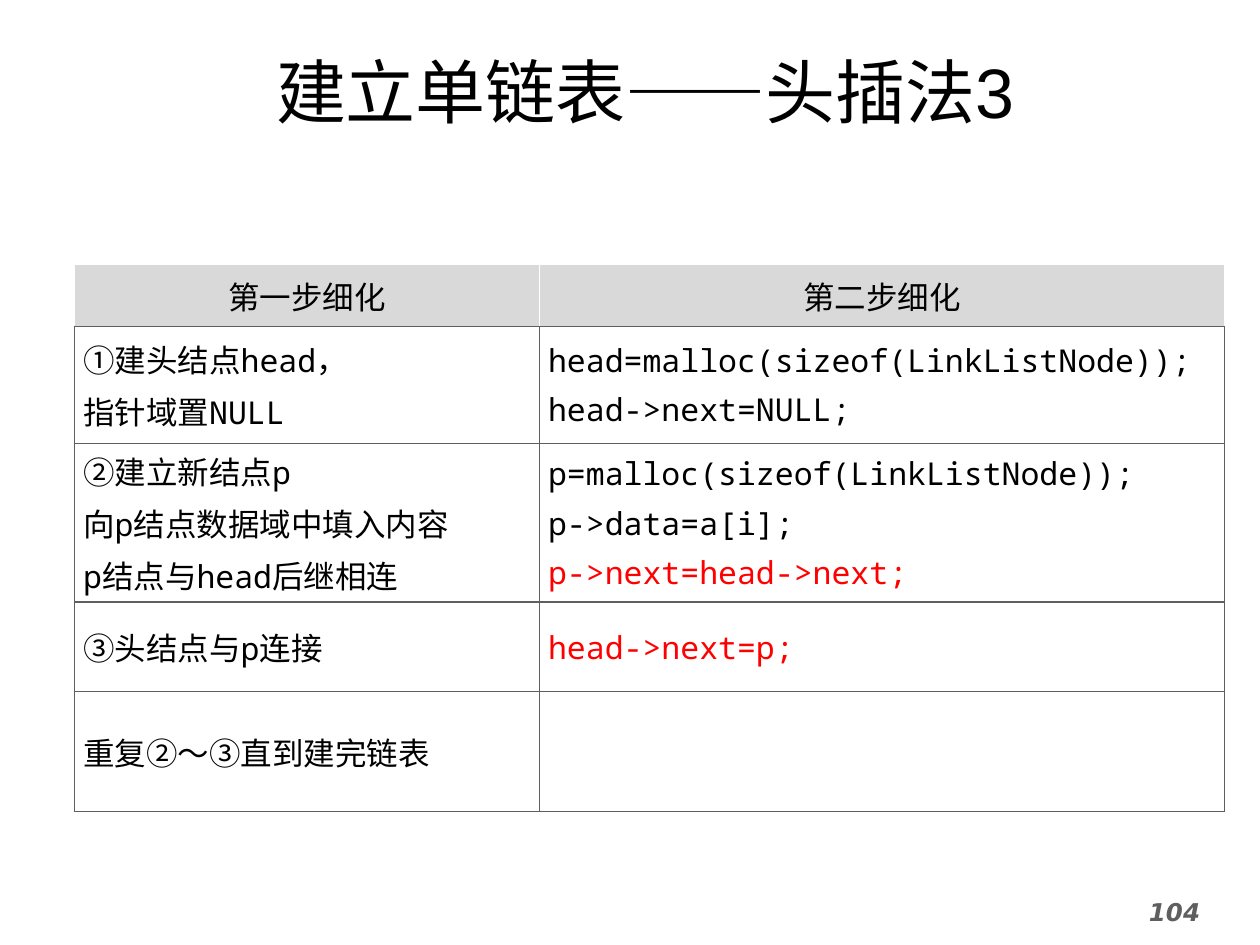
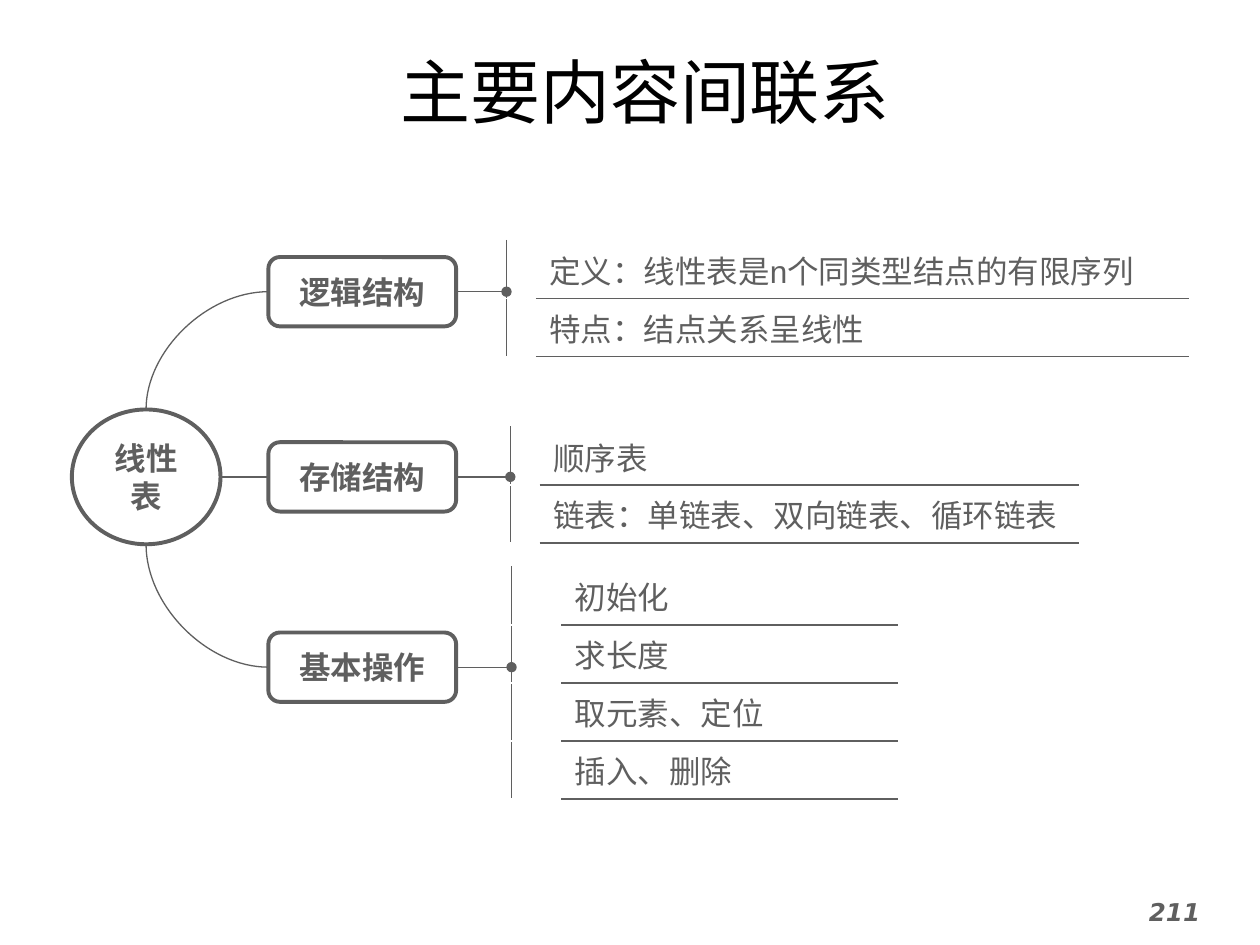
from lxml import etree
from pptx import Presentation
from pptx.dml.color import RGBColor
from pptx.enum.shapes import MSO_CONNECTOR, MSO_SHAPE
from pptx.enum.text import MSO_ANCHOR, PP_ALIGN
from pptx.oxml.ns import qn
from pptx.util import Inches, Pt

LEFT, MID = PP_ALIGN.LEFT, PP_ALIGN.CENTER
TOP, CENTER = MSO_ANCHOR.TOP, MSO_ANCHOR.MIDDLE
LINE, CURVE = MSO_CONNECTOR.STRAIGHT, MSO_CONNECTOR.CURVE
OVAL, ROUND = MSO_SHAPE.OVAL, MSO_SHAPE.ROUNDED_RECTANGLE


class Theme:
    black, gray, red = "000000", "5F5F5F", "FF0000"
    white, head = "FFFFFF", "D9D9D9"
    big, body, small = 40, 18, 14
    sans, code = "Arial", "Noto Sans Mono"
    page, cjk = "DejaVu Sans", "Noto Sans CJK SC"
    thin, edge, thick = 0.75, 1, 2.25


def write(frame, text, size=Theme.body, font=Theme.sans, color=Theme.gray,
          bold=False, slant=False, align=LEFT, gap=0, reds=()):
    """Fill a frame, one paragraph per line; gap goes before all but the first."""
    frame.word_wrap = True
    for i, line in enumerate(text.split("\n")):
        para = frame.paragraphs[0] if i == 0 else frame.add_paragraph()
        para.alignment = align
        if i:
            para.space_before = Pt(gap)
        run = para.add_run()
        run.text = line
        face = run.font
        face.size, face.name, face.bold, face.italic = Pt(size), font, bold, slant
        face.color.rgb = RGBColor.from_string(Theme.red if line in reds else color)
        east = etree.SubElement(run._r.get_or_add_rPr(), qn("a:ea"))
        east.set("typeface", Theme.cjk)


def rule(cell, **sides):
    """Set cell borders: L, R, T and B each take a colour."""
    props = cell._tc.get_or_add_tcPr()
    for side in "LRTB":
        if side in sides:
            line = etree.SubElement(props, qn("a:ln" + side), w=str(Pt(Theme.edge)))
            fill = etree.SubElement(line, qn("a:solidFill"))
            etree.SubElement(fill, qn("a:srgbClr"), val=sides[side])


deck = Presentation()
deck.slide_width, deck.slide_height = Inches(10), Inches(7.5)
pages = []
for title, number in (("建立单链表——头插法3", "104"), ("主要内容间联系", "211")):
    page = deck.slides.add_slide(deck.slide_layouts[6])
    box = page.shapes.add_textbox(Inches(0.35), Inches(0.33), Inches(9.54), Inches(0.77))
    box.text_frame.vertical_anchor = CENTER
    write(box.text_frame, title, size=Theme.big, color=Theme.black, align=MID)
    box = page.shapes.add_textbox(Inches(9.02), Inches(7.07), Inches(1.02), Inches(0.43))
    write(box.text_frame, number, size=Theme.small, font=Theme.page, bold=True, slant=True)
    pages.append(page)
steps, links = pages

# Table of steps
rows = [
    (0.49, "第一步细化", "第二步细化"),
    (0.93, "①建头结点head，\n指针域置NULL",
     "head=malloc(sizeof(LinkListNode));\nhead->next=NULL;"),
    (1.26, "②建立新结点p\n向p结点数据域中填入内容\np结点与head后继相连",
     "p=malloc(sizeof(LinkListNode));\np->data=a[i];\np->next=head->next;"),
    (0.71, "③头结点与p连接", "head->next=p;"),
    (0.95, "重复②～③直到建完链表", ""),
]
reds = ("p->next=head->next;", "head->next=p;")
grid = steps.shapes.add_table(len(rows), 2, Inches(0.59), Inches(2.1),
                              Inches(9.13), Inches(4.34)).table
grid.horz_banding = False
for col, wide in zip(grid.columns, (3.69, 5.44)):
    col.width = Inches(wide)
for r, (high, *texts) in enumerate(rows):
    grid.rows[r].height = Inches(high)
    for c, text in enumerate(texts):
        cell = grid.cell(r, c)
        cell.vertical_anchor = CENTER
        cell.margin_left = cell.margin_right = Inches(0.07)
        cell.margin_top = cell.margin_bottom = 0
        side = Theme.gray if r else Theme.white
        rule(cell, L=side, R=side, T=side if r != 1 else Theme.gray, B=Theme.gray)
        cell.fill.solid()
        cell.fill.fore_color.rgb = RGBColor.from_string(Theme.white if r else Theme.head)
        if text:
            write(cell.text_frame, text, font=Theme.code, color=Theme.black,
                  align=LEFT if r else MID, gap=3.6, reds=reds)

# Map of topics: name, box top, table left, table top, column widths, anchor, items
topics = [
    ("逻辑结构", 2.04, 4.02, 1.91, (0.23, 5.17), TOP,
     ("定义：线性表是n个同类型结点的有限序列", "特点：结点关系呈线性")),
    ("存储结构", 3.51, 4.05, 3.39, (0.23, 4.27), TOP,
     ("顺序表", "链表：单链表、双向链表、循环链表")),
    ("基本操作", 5.02, 4.06, 4.5, (0.4, 2.66), CENTER,
     ("初始化", "求长度", "取元素、定位", "插入、删除")),
]
hub_x, hub_y, hub_w, hub_h = 0.57, 3.25, 1.18, 1.07
box_x, box_w, box_h, row_h = 2.13, 1.49, 0.55, 0.46
hub_mid = hub_x + hub_w / 2
nodes = [(OVAL, "线性表", hub_x, hub_y, hub_w, hub_h)]
wires = []
for i, (name, top, left, start, wides, anchor, items) in enumerate(topics):
    nodes.append((ROUND, name, box_x, top, box_w, box_h))
    y = top + box_h / 2
    ends = ((hub_mid, hub_y), (hub_x + hub_w, y), (hub_mid, hub_y + hub_h))
    wires.append((LINE if i == 1 else CURVE, (box_x, y), ends[i], False))
    wires.append((LINE, (box_x + box_w, y), (left, y), True))

    grid = links.shapes.add_table(len(items), 2, Inches(left), Inches(start),
                                  Inches(sum(wides)), Inches(row_h * len(items))).table
    grid.first_row = grid.horz_banding = False
    for col, wide in zip(grid.columns, wides):
        col.width = Inches(wide)
    for r, item in enumerate(items):
        grid.rows[r].height = Inches(row_h)
        bar, cell = grid.cell(r, 0), grid.cell(r, 1)
        rule(bar, L=Theme.gray)
        rule(cell, B=Theme.gray, **({"T": Theme.gray} if r else {}))
        bar.fill.background()
        cell.fill.background()
        cell.vertical_anchor = anchor
        write(cell.text_frame, item)

for kind, (x1, y1), (x2, y2), dot in wires:
    wire = links.shapes.add_connector(kind, Inches(x1), Inches(y1), Inches(x2), Inches(y2))
    wire.line.color.rgb = RGBColor.from_string(Theme.gray)
    wire.line.width = Pt(Theme.thin)
    props = wire._element.spPr
    if kind == CURVE:
        props.find(qn("a:prstGeom")).set("prst", "curvedConnector2")
    if dot:
        etree.SubElement(wire.line._get_or_add_ln(), qn("a:tailEnd"), type="oval")
    etree.SubElement(props, qn("a:effectLst"))

for kind, name, x, y, w, h in nodes:
    node = links.shapes.add_shape(kind, Inches(x), Inches(y), Inches(w), Inches(h))
    node.shadow.inherit = False
    node.fill.solid()
    node.fill.fore_color.rgb = RGBColor.from_string(Theme.white)
    node.line.color.rgb = RGBColor.from_string(Theme.gray)
    node.line.width = Pt(Theme.thick)
    node.text_frame.vertical_anchor = CENTER
    write(node.text_frame, name, font=Theme.cjk, bold=True, align=MID)

deck.save("out.pptx")
